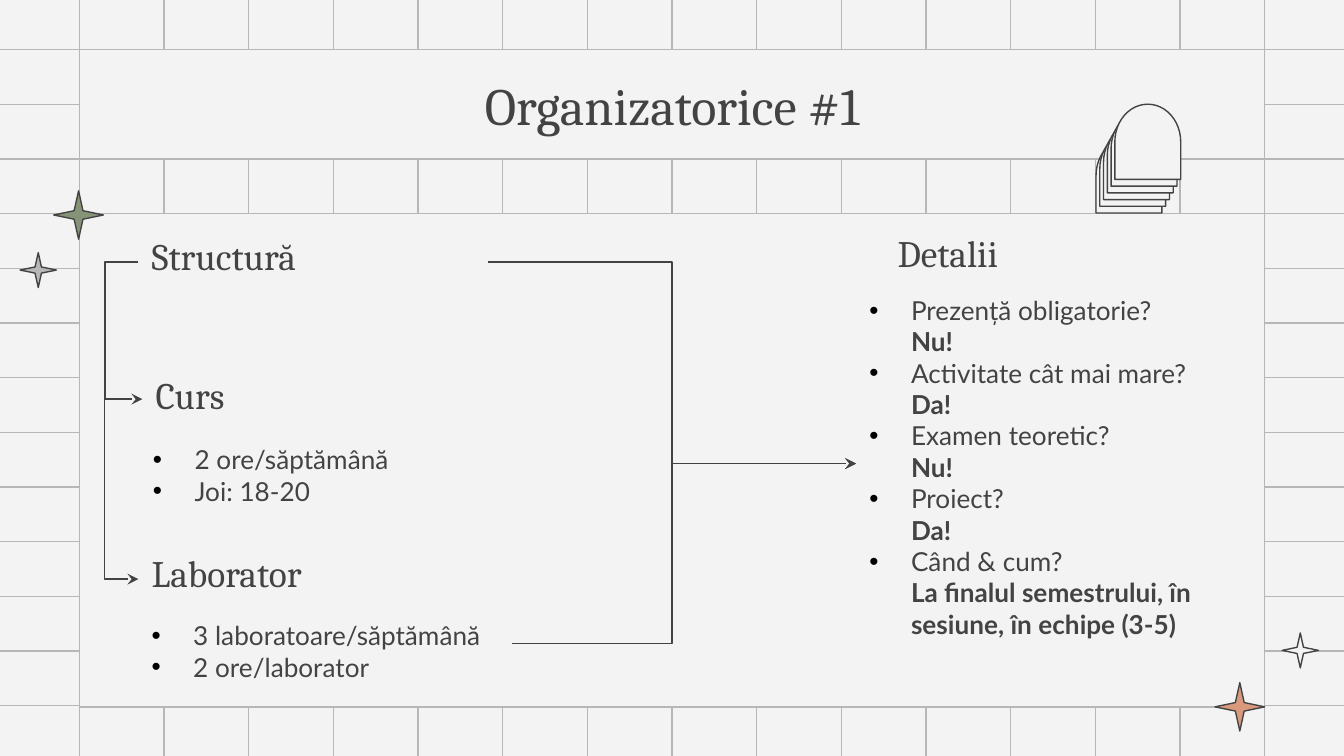
import pptx
import pptx.dml.color
import pptx.enum.shapes
import pptx.enum.text
import pptx.oxml.ns
import pptx.util
from lxml import etree

Inches = pptx.util.Inches
Shape = pptx.enum.shapes.MSO_SHAPE
Connector = pptx.enum.shapes.MSO_CONNECTOR
Anchor = pptx.enum.text.MSO_ANCHOR
Align = pptx.enum.text.PP_ALIGN
qn = pptx.oxml.ns.qn

COLORS = {
    "paper": "F3F3F3",
    "grid": "B7B7B7",
    "ink": "434343",
    "bullet": "000000",
    "orange": "D9997D",
    "green": "859477",
}
HEADING_FONT = "Cambria"
BODY_FONT = "Lato"


def color(name):
    """Return the named palette colour."""
    return pptx.dml.color.RGBColor.from_string(COLORS[name])


def style_shape(shape, fill, line):
    """Give a shape a flat fill and a thin outline."""
    shape.shadow.inherit = False
    shape.fill.solid()
    shape.fill.fore_color.rgb = color(fill)
    shape.line.color.rgb = color(line)
    shape.line.width = pptx.util.Pt(0.75)


def add_shape(slide, kind, box, fill, line="ink"):
    """Add a styled preset shape in a box."""
    shape = slide.shapes.add_shape(kind, *map(Inches, box))
    style_shape(shape, fill, line)
    return shape


def add_line(slide, start, end, line="ink", kind=Connector.STRAIGHT):
    """Add a thin connector between two points."""
    connector = slide.shapes.add_connector(kind, *map(Inches, (*start, *end)))
    connector.line.color.rgb = color(line)
    connector.line.width = pptx.util.Pt(0.75)
    etree.SubElement(connector.element.spPr, qn("a:effectLst"))
    return connector


def add_arrowhead(connector, end="a:tailEnd"):
    """Put a stealth arrowhead on one end of a connector."""
    outline = connector.element.spPr.find(qn("a:ln"))
    etree.SubElement(outline, qn(end), type="stealth")


def add_elbow(slide, start, end, turn):
    """Add an arrow whose vertical part stands at the x position turn."""
    connector = add_line(slide, start, end, kind=Connector.ELBOW)
    adjust = round((turn - start[0]) / (end[0] - start[0]) * 100000)
    guides = connector.element.spPr.find(qn("a:prstGeom")).get_or_add_avLst()
    etree.SubElement(guides, qn("a:gd"), name="adj1", fmla=f"val {adjust}")
    add_arrowhead(connector)


def add_corner(slide, start, end):
    """Add a one-bend arrow, horizontal from its arrowhead at start."""
    connector = add_line(slide, start, end, kind=Connector.ELBOW)
    connector.element.spPr.find(qn("a:prstGeom")).set("prst", "bentConnector2")
    add_arrowhead(connector, "a:headEnd")


def format_frame(frame, anchor):
    """Set wrapping, margins and anchor of a text frame."""
    frame.word_wrap = True
    frame.auto_size = pptx.enum.text.MSO_AUTO_SIZE.NONE
    frame.vertical_anchor = anchor
    frame.margin_left = frame.margin_right = Inches(0.1)
    frame.margin_top = frame.margin_bottom = Inches(0.1)


def add_run(paragraph, text, size, font, bold=False):
    """Append a run in the ink colour."""
    run = paragraph.add_run()
    run.text = text
    run.font.size = pptx.util.Pt(size)
    run.font.name = font
    run.font.bold = bold
    run.font.color.rgb = color("ink")


def add_break(paragraph, size):
    """Append a line break of a given text size."""
    paragraph.add_line_break()
    line_break = paragraph._p.findall(qn("a:br"))[-1]
    etree.SubElement(line_break, qn("a:rPr"), sz=str(size * 100))


def add_bullet(paragraph):
    """Give a paragraph a hanging round bullet."""
    properties = paragraph._p.get_or_add_pPr()
    properties.set("marL", str(Inches(0.31)))
    properties.set("indent", str(-Inches(0.31)))
    bullet_color = etree.SubElement(properties, qn("a:buClr"))
    etree.SubElement(bullet_color, qn("a:srgbClr"), val=COLORS["bullet"])
    etree.SubElement(properties, qn("a:buFont"), typeface="Arial")
    etree.SubElement(properties, qn("a:buChar"), char="•")


def add_heading(slide, box, text):
    """Add a section heading at the bottom of its box."""
    frame = slide.shapes.add_textbox(*map(Inches, box)).text_frame
    format_frame(frame, Anchor.BOTTOM)
    add_run(frame.paragraphs[0], text, 20, HEADING_FONT)


def add_bullets(slide, box, items):
    """Add a bullet list of (text, separator, bold answer) items."""
    frame = slide.shapes.add_textbox(*map(Inches, box)).text_frame
    format_frame(frame, Anchor.TOP)
    for index, (text, separator, answer) in enumerate(items):
        paragraph = frame.add_paragraph() if index else frame.paragraphs[0]
        add_bullet(paragraph)
        add_run(paragraph, text, 14, BODY_FONT)
        if separator == "\n":
            add_break(paragraph, 14)
        if answer:
            add_run(paragraph, answer, 14, BODY_FONT, bold=True)


def draw_grid(slide, box):
    """Draw the background grid in four quadrants."""
    left, top, width, height = box
    middle_x, middle_y = 5, 2.81
    columns = [0.59 + 0.63 * index for index in range(15)]
    rows = [0.37 + 4.88 / 12 * index for index in range(13)]
    for start, end in ((top, middle_y), (middle_y, top + height)):
        for x in columns:
            add_line(slide, (x, start), (x, end), "grid")
    for start, end in ((left, middle_x), (middle_x, left + width)):
        for y in rows:
            add_line(slide, (start, y), (end, y), "grid")


def draw_panel(slide, box):
    """Draw the content panel and the stars at its corners."""
    left, top, width, height = box
    add_shape(slide, Shape.RECTANGLE, box, "paper", "grid")
    right, bottom = left + width, top + height
    stars = (
        (right - 0.37, bottom - 0.18, 0.37, 0.36, "orange"),
        (right + 0.13, bottom - 0.55, 0.27, 0.26, "paper"),
        (left - 0.19, top - 0.17, 0.37, 0.36, "green"),
        (left - 0.44, top + 0.29, 0.27, 0.26, "grid"),
    )
    for *star_box, fill in stars:
        star = add_shape(slide, Shape.STAR_4_POINT, star_box, fill)
        star.adjustments[0] = 0.125


def draw_title(slide, box, text):
    """Place the title placeholder above the grid."""
    title = slide.shapes.title
    slide.shapes.element.append(title.element)
    title.left, title.top, title.width, title.height = map(Inches, box)
    style_shape(title, "paper", "grid")
    format_frame(title.text_frame, Anchor.MIDDLE)
    paragraph = title.text_frame.paragraphs[0]
    paragraph.alignment = Align.CENTER
    add_run(paragraph, text, 28, HEADING_FONT)


def draw_structure(slide, box):
    """Draw the course structure with its branching arrows."""
    left, top, width, height = box
    add_heading(slide, (left, top, width, 0.45), "Structură")
    add_heading(slide, (left + 0.03, top + 1.03, width, 0.45), "Curs")
    add_heading(slide, (left, top + 2.36, width, 0.45), "Laborator")
    add_bullets(slide, (left + 0.01, top + 1.48, width, 0.55),
                [("2 ore/săptămână", "", ""), ("Joi: 18-20", "", "")])
    add_bullets(slide, (left, top + height - 0.55, width + 0.34, 0.55),
                [("3 laboratoare/săptămână", "", ""), ("2 ore/laborator", "", "")])
    trunk = left - 0.25
    add_elbow(slide, (left, top + 0.23), (left + 0.03, top + 1.25), trunk)
    add_corner(slide, (left, top + 2.59), (trunk, top + 0.26))


def draw_details(slide, box):
    """Draw the details list and the arrows that lead to it."""
    left, top, width, height = box
    add_heading(slide, (left + 0.21, top, 2.6, 0.4), "Detalii")
    add_bullets(slide, (left, top + 0.34, width, height - 0.34), [
        ("Prezență obligatorie? ", "\n", "Nu!"),
        ("Activitate cât mai mare? ", "", "Da!"),
        ("Examen teoretic?", "\n", "Nu!"),
        ("Proiect?", "\n", "Da!"),
        ("Când & cum?", "\n", "La finalul semestrului, în sesiune, în echipe (3-5)"),
    ])
    target = (left, top + 1.7)
    for start in ((3.63, 1.95), (3.81, 4.79)):
        add_elbow(slide, start, target, 5)


def draw_arches(slide, box):
    """Draw a stack of six arches stepping up to the right."""
    left, top, width, height = box
    for index in range(6):
        arch_box = (left + 0.14 / 5 * index, top - 0.05 * index, width, height)
        add_shape(slide, Shape.FLOWCHART_DELAY, arch_box, "paper").rotation = 270


def main():
    """Build and save the slide."""
    presentation = pptx.Presentation()
    presentation.slide_width = Inches(10)
    presentation.slide_height = Inches(10 * 9 / 16)
    slide = presentation.slides.add_slide(presentation.slide_layouts[5])
    slide.background.fill.solid()
    slide.background.fill.fore_color.rgb = color("paper")
    draw_grid(slide, (-0.04, -0.03, 10.08, 5.69))
    draw_panel(slide, (0.59, 1.59, 8.82, 3.67))
    draw_title(slide, (0.59, 0.37, 8.82, 0.81), "Organizatorice #1")
    draw_structure(slide, (1.03, 1.72, 2.6, 3.34))
    draw_details(slide, (6.37, 1.75, 2.85, 3.05))
    draw_arches(slide, (8.12, 1.06, 0.56, 0.49))
    presentation.save("out.pptx")


if __name__ == "__main__":
    main()
